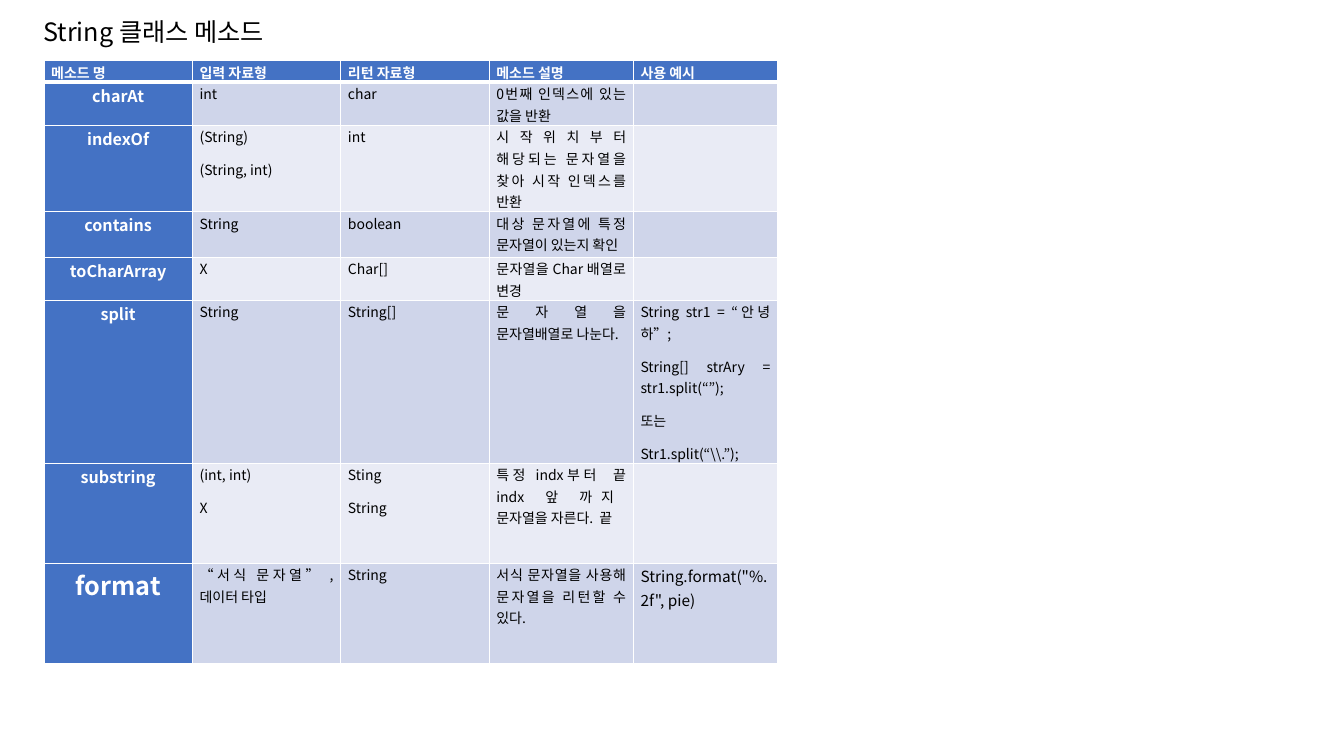
from lxml import etree
from pptx import Presentation
from pptx.dml.color import RGBColor
from pptx.enum.text import MSO_AUTO_SIZE, PP_ALIGN
from pptx.oxml.ns import qn
from pptx.util import Pt

CENTER, JUSTIFY = PP_ALIGN.CENTER, PP_ALIGN.JUSTIFY
FIT_SHAPE = MSO_AUTO_SIZE.SHAPE_TO_FIT_TEXT

FONT = "Noto Sans CJK KR"
COLORS = {"accent": "4472C4", "band_dark": "CFD5EA", "band_light": "E9EBF5",
          "white": "FFFFFF", "black": "000000"}
TITLE = "String 클래스 메소드"
HEADERS = ["메소드 명", "입력 자료형", "리턴 자료형", "메소드 설명", "사용 예시"]
# Each line break inside a cell starts a new paragraph.
METHODS = [
    ["charAt", "int", "char", "0번째 인덱스에 있는 값을 반환", ""],
    ["indexOf", "(String)\n(String, int)", "int",
     "시작위치부터 해당되는 문자열을 찾아 시작 인덱스를 반환", ""],
    ["contains", "String", "boolean", "대상 문자열에 특정 문자열이 있는지 확인", ""],
    ["toCharArray", "X", "Char[]", "문자열을 Char 배열로 변경", ""],
    ["split", "String", "String[]", "문자열을 문자열배열로 나눈다.",
     "String str1 = “안녕하”;\nString[] strAry = str1.split(“”);\n또는\nStr1.split(“\\\\.”);"],
    ["substring", "(int, int)\nX", "Sting\nString",
     "특정 indx부터  끝 indx 앞 까지  문자열을 자른다.  끝", ""],
    ["format", "“서식 문자열” , 데이터 타입", "String",
     "서식 문자열을 사용해 문자열을 리턴할 수 있다.", 'String.format("%.2f", pie)'],
]
COLUMN_WIDTHS = [106, 106, 106, 103, 103]
ROW_HEIGHTS = [10, 21.6, 44, 32.5, 21.6, 87, 71.5, 71.5]
BODY_SIZE, NAME_SIZE = 10, 11.5
SPECIAL_SIZES = {("format", 0): 18, ("format", 4): 11}


def set_font(paragraph, size, color, bold=False):
    font = paragraph.font
    font.name = FONT
    font.size = Pt(size)
    font.bold = bold
    font.color.rgb = RGBColor.from_string(COLORS[color])
    properties = paragraph._p.pPr.find(qn("a:defRPr"))
    east_asian = etree.Element(qn("a:ea"), typeface=FONT)
    properties.find(qn("a:latin")).addnext(east_asian)


def add_borders(cell, bottom_width):
    properties = cell._tc.get_or_add_tcPr()
    for side, width in (("L", 1), ("R", 1), ("T", 1), ("B", bottom_width)):
        line = etree.SubElement(properties, qn(f"a:ln{side}"), w=str(Pt(width)))
        fill = etree.SubElement(line, qn("a:solidFill"))
        etree.SubElement(fill, qn("a:srgbClr"), val=COLORS["white"])


def fill_cell(cell, text, background, color, size, bold, alignment, bottom_width):
    cell.margin_left = cell.margin_right = Pt(5.2)
    cell.margin_top = cell.margin_bottom = 0
    add_borders(cell, bottom_width)
    cell.fill.solid()
    cell.fill.fore_color.rgb = RGBColor.from_string(COLORS[background])
    cell.text_frame.text = text
    for paragraph in cell.text_frame.paragraphs:
        paragraph.alignment = alignment
        paragraph.line_spacing = 1.07
        paragraph.space_after = Pt(8)
        set_font(paragraph, size, color, bold)


def add_title(slide):
    box = slide.shapes.add_textbox(Pt(23.8), Pt(7.9), Pt(215.3), Pt(28.8))
    frame = box.text_frame
    frame.word_wrap = True
    frame.auto_size = FIT_SHAPE
    frame.text = TITLE
    set_font(frame.paragraphs[0], 18, "black")


def add_method_table(slide):
    rows = [HEADERS] + METHODS
    table = slide.shapes.add_table(
        len(rows), len(HEADERS), Pt(31.4), Pt(43.4),
        Pt(sum(COLUMN_WIDTHS)), Pt(sum(ROW_HEIGHTS))).table
    for column, width in zip(table.columns, COLUMN_WIDTHS):
        column.width = Pt(width)
    for row, height in zip(table.rows, ROW_HEIGHTS):
        row.height = Pt(height)
    for row_index, values in enumerate(rows):
        is_header = row_index == 0
        band = "band_dark" if row_index % 2 else "band_light"
        for column_index, text in enumerate(values):
            is_name = column_index == 0 and not is_header
            strong = is_header or is_name
            size = SPECIAL_SIZES.get((values[0], column_index),
                                     NAME_SIZE if is_name else BODY_SIZE)
            fill_cell(table.cell(row_index, column_index), text,
                      background="accent" if strong else band,
                      color="white" if strong else "black",
                      size=size, bold=strong,
                      alignment=CENTER if is_name else JUSTIFY,
                      bottom_width=3 if is_header else 1)


def main():
    presentation = Presentation()
    presentation.slide_width, presentation.slide_height = Pt(960), Pt(540)
    slide = presentation.slides.add_slide(presentation.slide_layouts[6])
    add_method_table(slide)
    add_title(slide)
    presentation.save("out.pptx")


if __name__ == "__main__":
    main()
